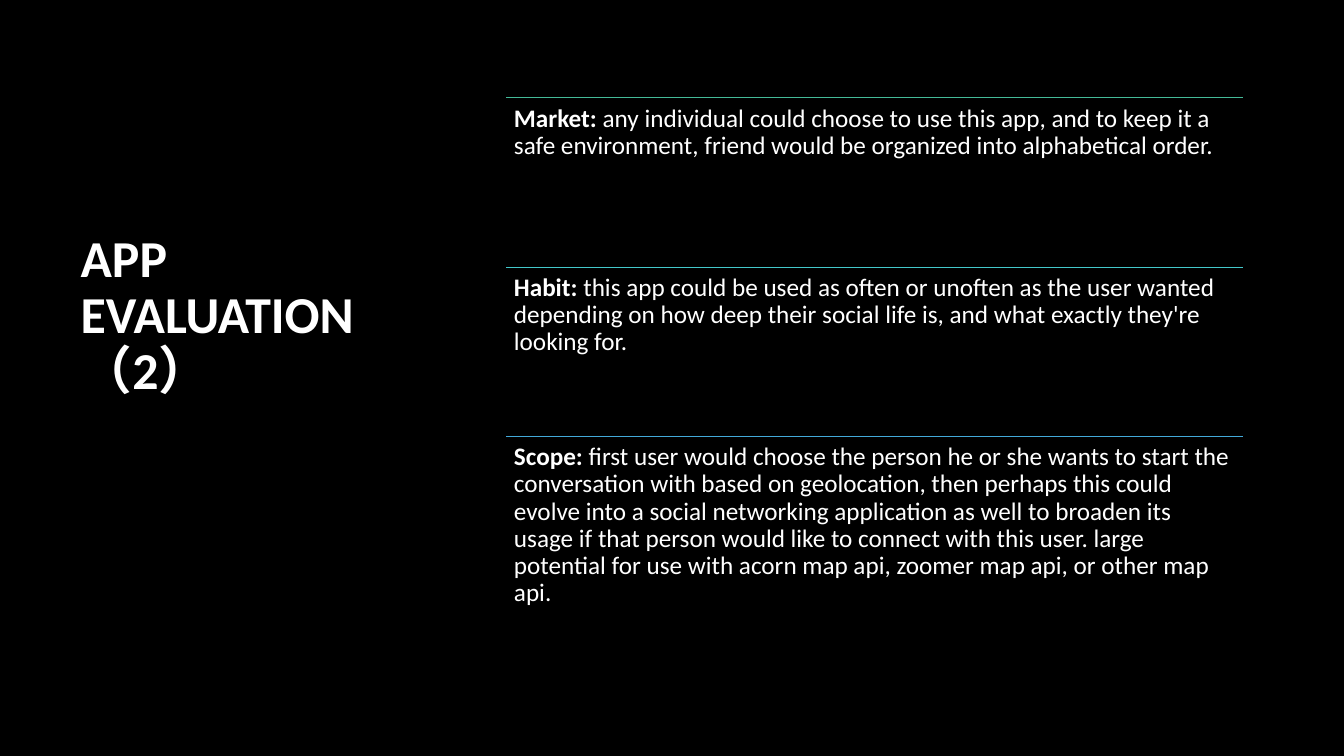
from lxml import etree
from pptx import Presentation
from pptx.dml.color import RGBColor
from pptx.enum.shapes import MSO_CONNECTOR
from pptx.enum.text import MSO_ANCHOR, MSO_AUTO_SIZE, PP_ALIGN
from pptx.oxml.ns import qn
from pptx.util import Pt

STRAIGHT = MSO_CONNECTOR.STRAIGHT
MIDDLE, TOP = MSO_ANCHOR.MIDDLE, MSO_ANCHOR.TOP
NO_FIT = MSO_AUTO_SIZE.NONE
LEFT = PP_ALIGN.LEFT

BLACK = RGBColor(0x00, 0x00, 0x00)
WHITE = RGBColor(0xFF, 0xFF, 0xFF)
GREEN = RGBColor(0x44, 0xBA, 0x98)
TEAL = RGBColor(0x43, 0xC8, 0xCA)
BLUE = RGBColor(0x43, 0xA9, 0xD9)
FONT = "Calibri"

CRITERIA = [
    ("Market:", " any individual could choose to use this app, and to keep it a "
     "safe environment, friend would be organized into alphabetical order.", GREEN),
    ("Habit:", " this app could be used as often or unoften as the user wanted "
     "depending on how deep their social life is, and what exactly they're "
     "looking for.", TEAL),
    ("Scope:", " first user would choose the person he or she wants to start the "
     "conversation with based on geolocation, then perhaps this could evolve into "
     "a social networking application as well to broaden its usage if that person "
     "would like to connect with this user. large potential for use with acorn map "
     "api, zoomer map api, or other map api.", BLUE),
]


def add_run(p, text, size, bold):
    r = p.add_run()
    r.text = text
    r.font.name = FONT
    r.font.size = Pt(size)
    r.font.bold = bold
    r.font.color.rgb = WHITE


def add_title(s, left, top, width, height):
    title = s.shapes.title
    title.left, title.top = Pt(left), Pt(top)
    title.width, title.height = Pt(width), Pt(height)
    tf = title.text_frame
    tf.word_wrap = True
    tf.auto_size = NO_FIT
    tf.vertical_anchor = MIDDLE
    tf.margin_bottom = Pt(48)
    p = tf.paragraphs[0]
    p.alignment = LEFT
    p.line_spacing = 0.9
    add_run(p, "APP EVALUATION（2）", 37, True)


def add_criterion(s, left, top, width, height, label, text, color):
    line = s.shapes.add_connector(STRAIGHT, Pt(left), Pt(top), Pt(left + width), Pt(top))
    line.line.color.rgb = color
    line.line.width = Pt(0.75)
    etree.SubElement(line._element.spPr, qn("a:effectLst"))

    box = s.shapes.add_textbox(Pt(left), Pt(top), Pt(width), Pt(height))
    tf = box.text_frame
    tf.word_wrap = True
    tf.vertical_anchor = TOP
    tf.margin_left = tf.margin_right = tf.margin_top = tf.margin_bottom = Pt(5.4)
    p = tf.paragraphs[0]
    p.alignment = LEFT
    p.line_spacing = 0.9
    add_run(p, label, 18, True)
    add_run(p, text, 18, False)


def add_criteria(s, left, top, width, height):
    row = height / len(CRITERIA)
    for i, (label, text, color) in enumerate(CRITERIA):
        add_criterion(s, left, top + i * row, width, row, label, text, color)


def main():
    prs = Presentation()
    prs.slide_width, prs.slide_height = Pt(960), Pt(540)
    s = prs.slides.add_slide(prs.slide_layouts[5])
    s.background.fill.solid()
    s.background.fill.fore_color.rgb = BLACK
    add_title(s, 50.4, 103.7, 224, 289.4)
    add_criteria(s, 361.7, 70, 526.3, 362.4)
    prs.save("out.pptx")


if __name__ == "__main__":
    main()
